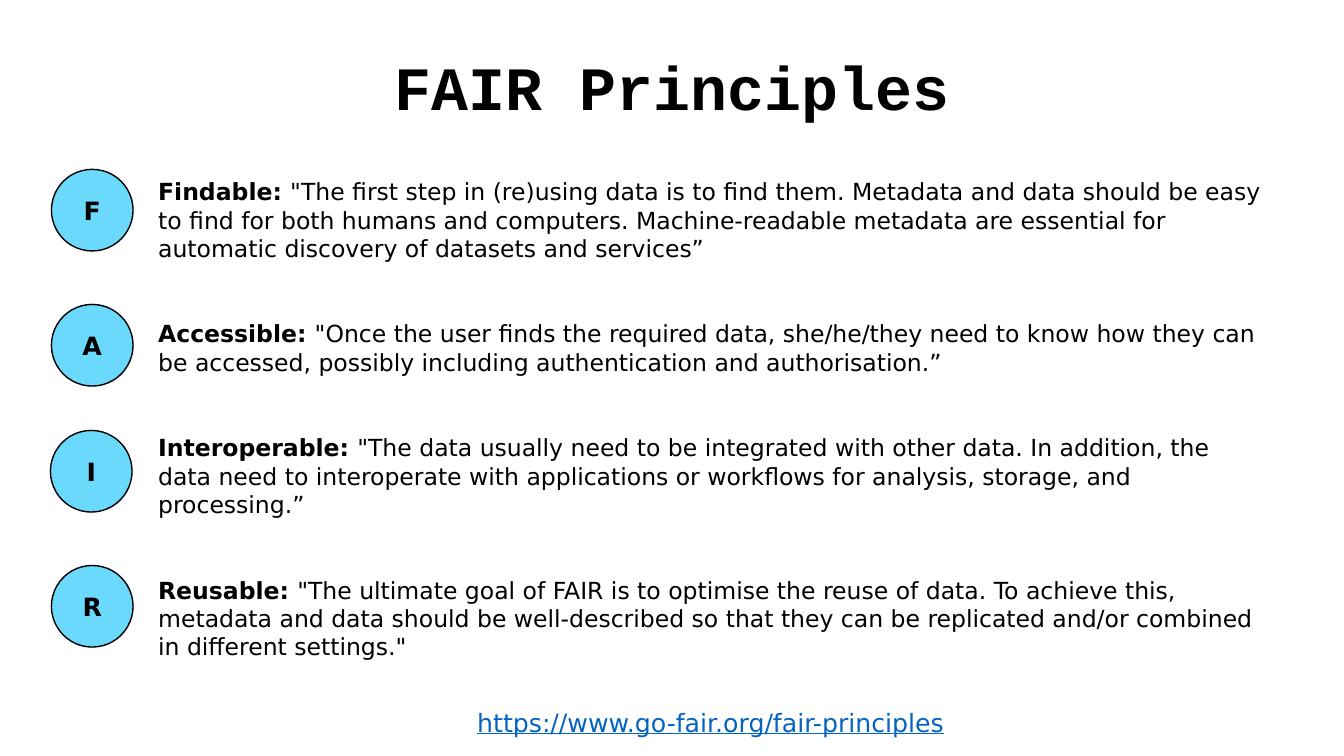
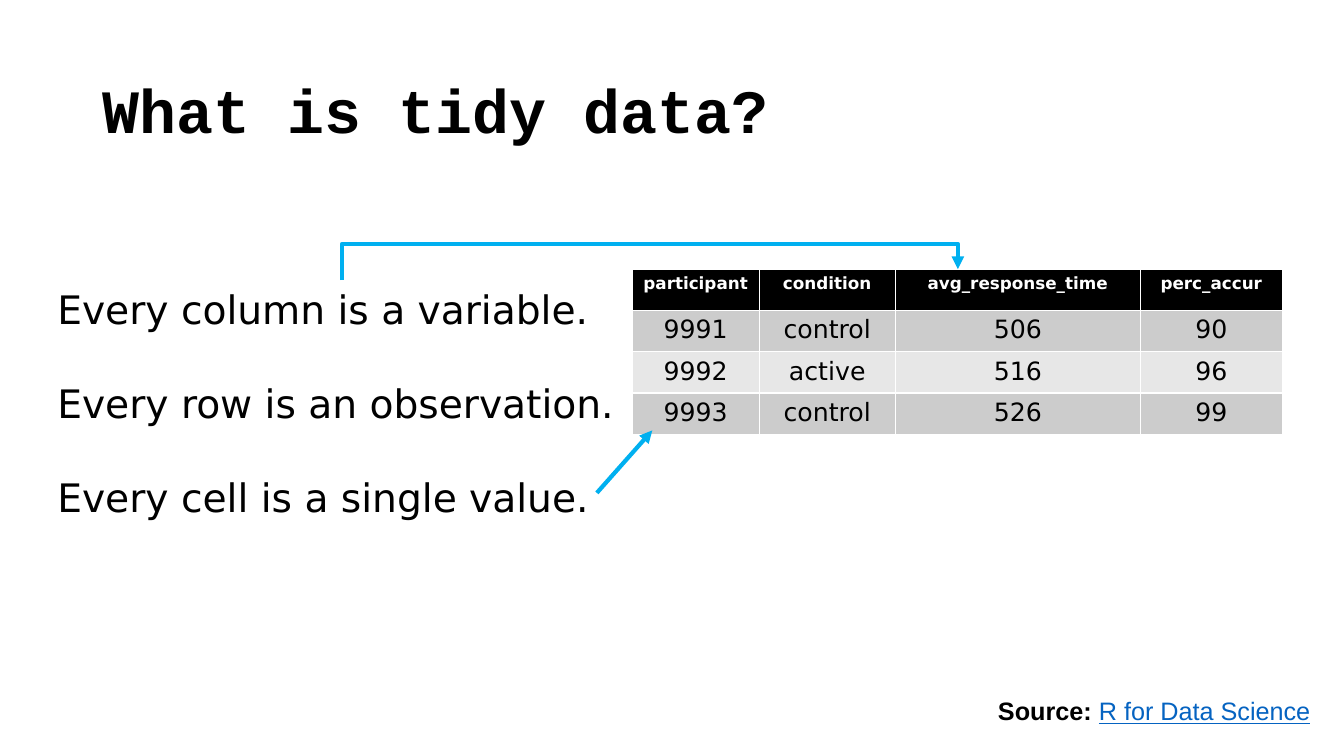
from lxml import etree
from pptx import Presentation
from pptx import util as u
from pptx.dml.color import RGBColor
from pptx.enum import shapes, text
from pptx.oxml import ns

COLORS = {
    "ink": "000000",
    "paper": "FFFFFF",
    "link": "0563C1",
    "badge": "6BD9FB",
    "arrow": "00B0F0",
    "band_dark": "CCCCCC",
    "band_light": "E7E7E7",
}
BODY = {"name": "DejaVu Sans", "size": u.Pt(16.8), "bold": False, "color": "ink"}
TITLE = {"name": "Courier New", "size": u.Pt(44), "bold": True, "color": "ink"}
LABEL = {**BODY, "size": u.Pt(18)}
STRONG = {**LABEL, "bold": True}
LINK = {**LABEL, "color": "link", "underline": True}
LEFT, CENTER = text.PP_ALIGN.LEFT, text.PP_ALIGN.CENTER


def rgb(name):
    """Return the named colour."""
    return RGBColor.from_string(COLORS[name])


def inches(*values):
    """Turn numbers into lengths in inches."""
    return [u.Inches(v) for v in values]


class Deck:
    """Hold the shared style and the current slide."""

    def __init__(self):
        """Start an empty widescreen presentation."""
        self.prs = Presentation()
        self.prs.slide_width, self.prs.slide_height = inches(13.33, 7.5)
        self.s = None

    def runs(self, p, runs, align=LEFT):
        """Fill a paragraph with formatted runs."""
        p.alignment = align
        for words, style in runs:
            r = p.add_run()
            r.text = words
            for key, value in style.items():
                if key == "color":
                    r.font.color.rgb = rgb(value)
                else:
                    setattr(r.font, key, value)

    def slide(self, title, box, align):
        """Add a slide with its title."""
        self.s = self.prs.slides.add_slide(self.prs.slide_layouts[5])
        sp = self.s.shapes.title
        sp.left, sp.top, sp.width, sp.height = inches(*box)
        tf = sp.text_frame
        tf.auto_size = text.MSO_AUTO_SIZE.NONE
        tf.vertical_anchor = text.MSO_ANCHOR.MIDDLE
        tf.paragraphs[0].line_spacing = 0.9
        self.runs(tf.paragraphs[0], [(title, TITLE)], align)

    def text(self, box, paragraphs, gap=0, align=LEFT, wrap=True):
        """Add a text box with equal gaps between its paragraphs."""
        tf = self.s.shapes.add_textbox(*inches(*box)).text_frame
        tf.word_wrap = wrap
        for i, runs in enumerate(paragraphs):
            p = tf.add_paragraph() if i else tf.paragraphs[0]
            if i:
                p.space_before = u.Pt(gap)
            self.runs(p, runs, align)

    def badge(self, letter, left, top, size=0.81):
        """Add a round badge with one letter."""
        sp = self.s.shapes.add_shape(
            shapes.MSO_SHAPE.OVAL, *inches(left, top, size, size))
        sp.shadow.inherit = False
        sp.fill.solid()
        sp.fill.fore_color.rgb = rgb("badge")
        sp.line.color.rgb = rgb("ink")
        sp.line.width = u.Pt(1)
        sp.text_frame.vertical_anchor = text.MSO_ANCHOR.MIDDLE
        self.runs(sp.text_frame.paragraphs[0], [(letter, STRONG)], CENTER)

    def table(self, left, top, widths, row_height, rows):
        """Add a table with a dark header and banded rows."""
        frame = self.s.shapes.add_table(
            len(rows), len(widths),
            *inches(left, top, sum(widths), row_height * len(rows)))
        table = frame.table
        for column, width in zip(table.columns, widths):
            column.width = u.Inches(width)
        header = {**STRONG, "size": u.Pt(12), "color": "paper"}
        for i, row in enumerate(rows):
            band = "band_dark" if i % 2 else "band_light"
            for j, words in enumerate(row):
                cell = table.cell(i, j)
                cell.fill.solid()
                cell.fill.fore_color.rgb = rgb(band if i else "ink")
                self.runs(cell.text_frame.paragraphs[0],
                          [(words, LABEL if i else header)], CENTER)

    def arrow(self, start, end, kind=shapes.MSO_CONNECTOR.STRAIGHT):
        """Add an arrow between two points."""
        c = self.s.shapes.add_connector(kind, *inches(*start, *end))
        c.line.color.rgb = rgb("arrow")
        c.line.width = u.Pt(3)
        etree.SubElement(c.get_or_add_ln(), ns.qn("a:tailEnd"), type="triangle")
        etree.SubElement(c._element.spPr, ns.qn("a:effectLst"))
        return c

    def bent_arrow(self, start, end, level):
        """Add an arrow that rises to a level, crosses and drops."""
        (x1, y1), (x2, y2) = start, end
        cx, cy = (x1 + x2) / 2, (y1 + y2) / 2
        dx, dy = (x2 - x1) / 2, (y2 - y1) / 2
        c = self.arrow((cx - dy, cy + dx), (cx + dy, cy - dx),
                       shapes.MSO_CONNECTOR.ELBOW)
        props = c._element.spPr
        props.find(ns.qn("a:xfrm")).set("rot", str(90 * 60000))
        geometry = props.find(ns.qn("a:prstGeom"))
        guides = geometry.find(ns.qn("a:avLst"))
        if guides is None:
            guides = etree.SubElement(geometry, ns.qn("a:avLst"))
        bend = round((level - y1) / (y2 - y1) * 100000)
        etree.SubElement(guides, ns.qn("a:gd"), name="adj1", fmla=f"val {bend}")


def fair_principles(deck):
    """Build the slide on the four principles."""
    deck.slide("FAIR Principles", (0.92, 0.33, 11.5, 1.13), CENTER)
    principles = [
        ("Findable", 0.51, 1.68,
         "\"The first step in (re)using data is to find them. Metadata and data "
         "should be easy to find for both humans and computers. Machine-readable "
         "metadata are essential for automatic discovery of datasets and services”"),
        ("Accessible", 0.51, 3.02,
         "\"Once the user finds the required data, she/he/they need to know how "
         "they can be accessed, possibly including authentication and "
         "authorisation.”"),
        ("Interoperable", 0.5, 4.27,
         "\"The data usually need to be integrated with other data. In addition, "
         "the data need to interoperate with applications or workflows for "
         "analysis, storage, and processing.”"),
        ("Reusable", 0.51, 5.61,
         "\"The ultimate goal of FAIR is to optimise the reuse of data. To achieve "
         "this, metadata and data should be well-described so that they can be "
         "replicated and/or combined in different settings.\""),
    ]
    deck.text((1.47, 1.71, 11.15, 5.1),
              [[(f"{name}: ", {**BODY, "bold": True}), (quote, BODY)]
               for name, _, _, quote in principles], gap=41)
    for name, left, top, _ in principles:
        deck.badge(name[0], left, top)
    deck.text((3.83, 6.97, 6.44, 0.4),
              [[("https://www.go-fair.org/fair-principles", LINK)]], align=CENTER)


def tidy_data(deck):
    """Build the slide on tidy data."""
    deck.slide("What is tidy data?", (0.92, 0.4, 11.5, 1.45), LEFT)
    deck.text((9.8, 6.85, 3.33, 0.4),
              [[("Source: ", {**STRONG, "name": "Arial"}),
                ("R for Data Science", {**LINK, "name": "Arial"})]], wrap=False)
    deck.table(6.27, 2.67, [1.26, 1.35, 2.43, 1.41], 0.41, [
        ["participant", "condition", "avg_response_time", "perc_accur"],
        ["9991", "control", "506", "90"],
        ["9992", "active", "516", "96"],
        ["9993", "control", "526", "99"],
    ])
    rules = ["Every column is a variable.", "Every row is an observation.",
             "Every cell is a single value."]
    deck.text((0.47, 2.78, 5.84, 2.46),
              [[(rule, {**BODY, "size": u.Pt(28)})] for rule in rules],
              gap=33.5, wrap=False)
    deck.bent_arrow((3.39, 2.78), (9.5, 2.67), 2.42)
    deck.arrow((5.92, 4.89), (6.47, 4.27))


def main():
    """Build and save the presentation."""
    deck = Deck()
    fair_principles(deck)
    tidy_data(deck)
    deck.prs.save("out.pptx")


if __name__ == "__main__":
    main()
